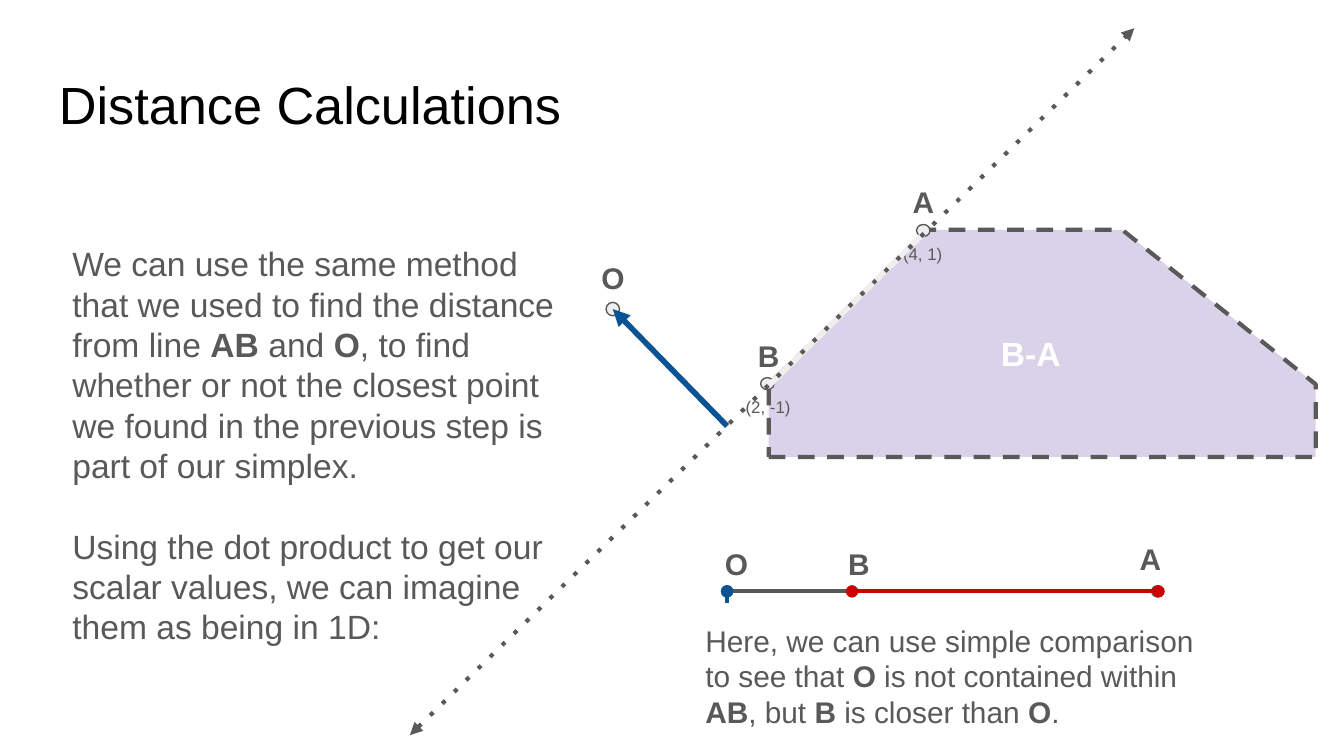
"""Build the slide on distance calculations for a simplex."""
from lxml import etree
from pptx import Presentation
from pptx.dml.color import RGBColor
from pptx.enum.dml import MSO_LINE
from pptx.enum.shapes import MSO_CONNECTOR, MSO_SHAPE
from pptx.enum.text import MSO_ANCHOR, PP_ALIGN
from pptx.oxml.ns import qn
from pptx.util import Inches, Pt

DASH = MSO_LINE.DASH
STRAIGHT = MSO_CONNECTOR.STRAIGHT
ELLIPSE, RECTANGLE = MSO_SHAPE.OVAL, MSO_SHAPE.RECTANGLE
TOP, MIDDLE = MSO_ANCHOR.TOP, MSO_ANCHOR.MIDDLE
LEFT, CENTER = PP_ALIGN.LEFT, PP_ALIGN.CENTER

BLACK = RGBColor(0x00, 0x00, 0x00)
WHITE = RGBColor(0xFF, 0xFF, 0xFF)
GRAY = RGBColor(0x59, 0x59, 0x59)
POINT_GRAY = RGBColor(0xEE, 0xEE, 0xEE)
EDGE_GRAY = RGBColor(0xEF, 0xEF, 0xEF)
LILAC = RGBColor(0xD9, 0xD2, 0xE9)
BLUE = RGBColor(0x0B, 0x53, 0x94)
RED = RGBColor(0xCC, 0x00, 0x00)

presentation = Presentation()
presentation.slide_width = Inches(10)
presentation.slide_height = presentation.slide_width * 9 // 16
slide = presentation.slides.add_slide(presentation.slide_layouts[6])
shapes = slide.shapes
CELL = presentation.slide_width / 100


def grid(*cells):
    return [round(cell * CELL) for cell in cells]


def write(shape, paragraphs, size, color, align=LEFT, anchor=TOP, gap=0):
    frame = shape.text_frame
    frame.word_wrap = True
    frame.vertical_anchor = anchor
    frame.margin_left = frame.margin_right = frame.margin_top = frame.margin_bottom = grid(1)[0]
    for index, runs in enumerate(paragraphs):
        paragraph = frame.add_paragraph() if index else frame.paragraphs[0]
        paragraph.alignment = align
        if index:
            paragraph.space_before = Pt(gap)
        for text, bold in runs:
            run = paragraph.add_run()
            run.text = text
            run.font.name = "Arial"
            run.font.size = Pt(size)
            run.font.bold = bold
            run.font.color.rgb = color


title = shapes.add_textbox(*grid(3.4, 4.9, 93.2, 6.3))
write(title, [[("Distance Calculations", False)]], 28, BLACK)
title.text_frame.paragraphs[0].line_spacing = 0.9

corners = [(57.2, 34), (97.9, 34), (97.9, 28.6), (83.5, 17.1), (69.1, 17.1), (57.2, 28.6)]
builder = shapes.build_freeform(*grid(*corners[0]))
builder.add_line_segments([grid(*corner) for corner in corners[1:]], close=True)
polygon = builder.convert_to_shape()
polygon.shadow.inherit = False
polygon.fill.solid()
polygon.fill.fore_color.rgb = LILAC
polygon.line.color.rgb = GRAY
polygon.line.width = Pt(2.25)
polygon.line.dash_style = DASH

method = [
    [
        ("We can use the same method that we used to find the distance from line ", False),
        ("AB ", True),
        ("and ", False),
        ("O", True),
        (", to find whether or not the closest point we found in the previous step "
         "is part of our simplex.", False),
    ],
    [("Using the dot product to get our scalar values, we can imagine them as being in 1D:", False)],
]
comparison = [[
    ("Here, we can use simple comparison to see that ", False),
    ("O", True),
    (" is not contained within ", False),
    ("AB", True),
    (", but ", False),
    ("B ", True),
    ("is closer than ", False),
    ("O", True),
    (".", False),
]]
for box, paragraphs, size in [
    ((4.4, 17.1, 39.3, 35), method, 18),
    ((51.5, 45.3, 40.7, 10), comparison, 16),
]:
    panel = shapes.add_shape(RECTANGLE, *grid(*box))
    panel.shadow.inherit = False
    panel.fill.solid()
    panel.fill.fore_color.rgb = WHITE
    panel.line.fill.background()
    write(panel, paragraphs, size, GRAY, gap=21.6)

for text, box, size, color, anchor in [
    ("B-A", (71.3, 23.8, 10.8, 5), 18, WHITE, TOP),
    ("(2, -1)", (53.8, 29, 6.7, 2.5), 9, GRAY, MIDDLE),
    ("(4, 1)", (65.3, 17.6, 6.7, 2.5), 9, GRAY, MIDDLE),
    ("B", (54.8, 24.1, 4.8, 4.7), 16, GRAY, TOP),
    ("O", (43.2, 18.3, 4.8, 4.7), 16, GRAY, TOP),
    ("A", (66.3, 12.7, 4.8, 4.7), 16, GRAY, TOP),
    ("A", (83.2, 39.2, 4.8, 4.7), 16, GRAY, TOP),
    ("B", (61.5, 39.6, 4.8, 4.7), 16, GRAY, TOP),
    ("O", (52.4, 39.6, 4.8, 4.7), 16, GRAY, TOP),
]:
    label = shapes.add_textbox(*grid(*box))
    write(label, [[(text, size > 9)]], size, color, CENTER, anchor)

for left, top, height in [(56.6, 28.1, 0.9), (45.1, 22.5, 1), (68.2, 16.7, 0.9)]:
    point = shapes.add_shape(ELLIPSE, *grid(left, top, 1, height))
    point.shadow.inherit = False
    point.fill.solid()
    point.fill.fore_color.rgb = POINT_GRAY
    point.line.color.rgb = GRAY
    point.line.width = Pt(0.75)

for ends, color, width, dash, head, tail in [
    ((57.2, 28.7, 68.7, 17.4), EDGE_GRAY, 3, None, None, None),
    ((30.5, 54.7, 84.4, 2.1), GRAY, 2.25, "dot", "triangle", "triangle"),
    ((54.1, 31.7, 45.6, 23), BLUE, 3, None, None, "triangle"),
    ((54.1, 44, 86.1, 44), GRAY, 2.25, None, "oval", "oval"),
    ((86.2, 44, 63.4, 44), RED, 2.25, None, "oval", "oval"),
    ((54.1, 44.9, 54.1, 44), BLUE, 2.25, None, None, "oval"),
]:
    connector = shapes.add_connector(STRAIGHT, *grid(*ends))
    connector.line.color.rgb = color
    connector.line.width = Pt(width)
    properties = connector.element.spPr
    outline = properties.find(qn("a:ln"))
    if dash:
        etree.SubElement(outline, qn("a:prstDash")).set("val", dash)
    for tag, kind in [("a:headEnd", head), ("a:tailEnd", tail)]:
        if kind:
            etree.SubElement(outline, qn(tag)).set("type", kind)
    etree.SubElement(properties, qn("a:effectLst"))

presentation.save("out.pptx")
